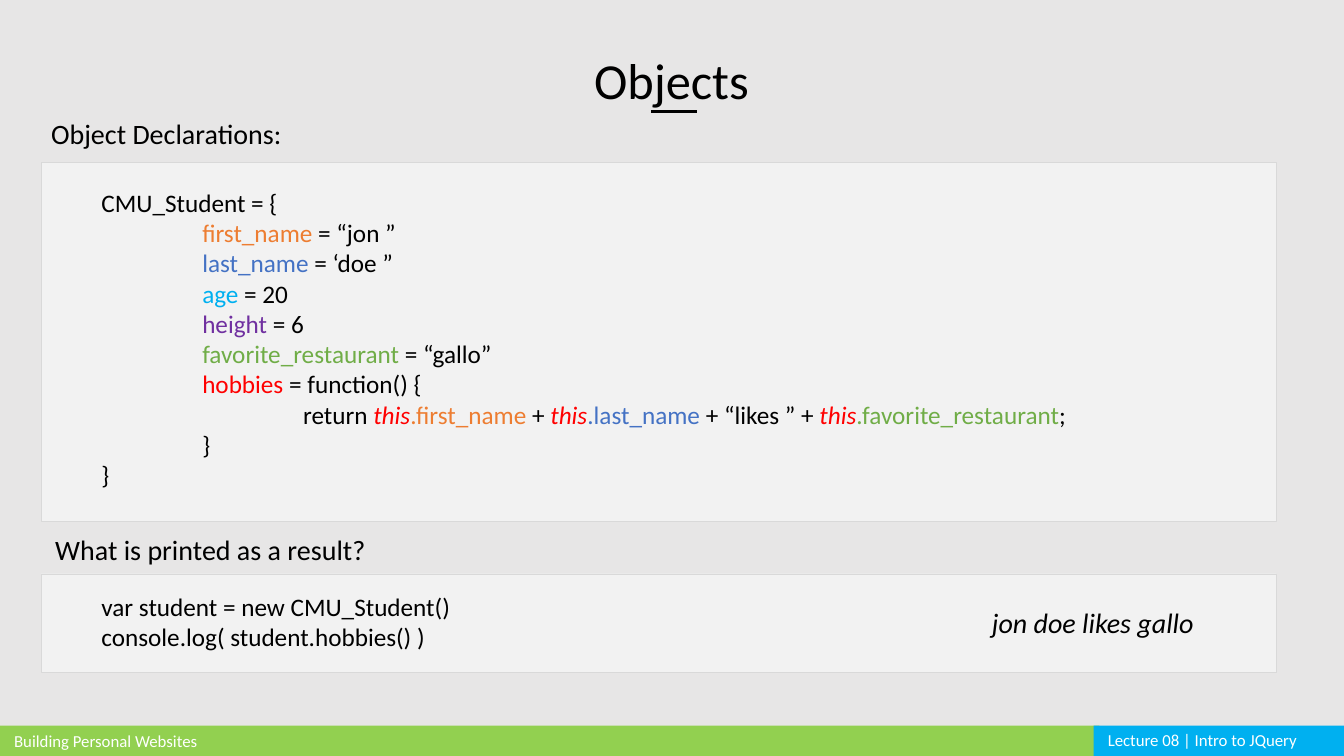
from dataclasses import dataclass

from lxml import etree
from pptx import Presentation
from pptx.dml.color import RGBColor
from pptx.enum.shapes import MSO_CONNECTOR, MSO_SHAPE
from pptx.enum.text import MSO_AUTO_SIZE, PP_ALIGN
from pptx.oxml.ns import qn
from pptx.util import Inches, Pt

COLUMNS, ROWS = 160, 90


@dataclass(frozen=True)
class Theme:
    """Colours, font and type sizes of the deck."""
    font: str = "Calibri"
    background: str = "E7E6E6"
    panel: str = "F2F2F2"
    panel_edge: str = "D9D9D9"
    ink: str = "000000"
    white: str = "FFFFFF"
    lime: str = "92D050"
    sky: str = "00B0F0"
    orange: str = "ED7D31"
    blue: str = "4472C4"
    purple: str = "7030A0"
    green: str = "70AD47"
    red: str = "FF0000"
    title: int = 36
    heading: int = 20
    code: int = 18
    footer: int = 12


class SlideBuilder:
    """Holds the theme and the current slide; places elements on its grid."""

    def __init__(self, deck, theme):
        """Add a blank slide with the theme's background."""
        self.theme = theme
        self.cell_width = deck.slide_width / COLUMNS
        self.cell_height = deck.slide_height / ROWS
        self.slide = deck.slides.add_slide(deck.slide_layouts[6])
        self.paint(self.slide.background.fill, theme.background)

    def place(self, column, row, width, height):
        """Turn grid units into slide lengths."""
        return (round(column * self.cell_width), round(row * self.cell_height),
                round(width * self.cell_width), round(height * self.cell_height))

    def paint(self, fill, color):
        """Make a fill solid."""
        fill.solid()
        fill.fore_color.rgb = RGBColor.from_string(color)

    def box(self, area, color, edge=None):
        """Draw a rectangle, with a hairline edge if one is given."""
        shape = self.slide.shapes.add_shape(MSO_SHAPE.RECTANGLE, *self.place(*area))
        shape.shadow.inherit = False
        self.paint(shape.fill, color)
        if edge:
            self.paint(shape.line.fill, edge)
            shape.line.width = Pt(0.25)
        else:
            shape.line.fill.background()

    def rule(self, column, row, width):
        """Draw a horizontal line."""
        x, y, length, _ = self.place(column, row, width, 0)
        line = self.slide.shapes.add_connector(
            MSO_CONNECTOR.STRAIGHT, x, y, x + length, y)
        self.paint(line.line.fill, self.theme.ink)
        line.line.width = Pt(2.25)
        etree.SubElement(line._element.spPr, qn("a:effectLst"))

    def text(self, area, lines, size, color=None, italic=False,
             align=PP_ALIGN.LEFT, spacing=None):
        """Write lines, each an indent level followed by (text, colour) runs."""
        frame = self.slide.shapes.add_textbox(*self.place(*area)).text_frame
        frame.word_wrap = True
        frame.auto_size = MSO_AUTO_SIZE.SHAPE_TO_FIT_TEXT
        for number, (level, *runs) in enumerate(lines):
            paragraph = frame.add_paragraph() if number else frame.paragraphs[0]
            paragraph.alignment = align
            paragraph.line_spacing = spacing
            properties = paragraph._p.get_or_add_pPr()
            properties.set("marL", str(Inches(level)))
            properties.set("indent", "0")
            for words, run_color in runs:
                run = paragraph.add_run()
                run.text = words
                font = run.font
                font.name, font.size = self.theme.font, Pt(size)
                font.italic = italic or words == "this"
                font.color.rgb = RGBColor.from_string(
                    run_color or color or self.theme.ink)

    def label(self, area, words, size, **style):
        """Write one line in one colour."""
        self.text(area, [(0, (words, None))], size, **style)


def object_code(theme):
    """Return the object declaration with each property in its colour."""
    fields = [("first_name", theme.orange, " = “jon ”"),
              ("last_name", theme.blue, " = ‘doe ”"),
              ("age", theme.sky, " = 20"),
              ("height", theme.purple, " = 6"),
              ("favorite_restaurant", theme.green, " = “gallo”"),
              ("hobbies", theme.red, " = function() {")]
    this = ("this", theme.red)
    return [
        (0, ("CMU_Student = {", None)),
        *((1, (name, color), (value, None)) for name, color, value in fields),
        (2, ("return ", None),
         this, (".first_name ", theme.orange), ("+ ", None),
         this, (".last_name ", theme.blue), ("+ “likes ” + ", None),
         this, (".favorite_restaurant", theme.green), (";", None)),
        (1, ("}", None)),
        (0, ("}", None)),
    ]


def main():
    """Build the slide and save it."""
    deck = Presentation()
    deck.slide_width, deck.slide_height = Inches(13.333), Inches(7.5)
    theme = Theme()
    page = SlideBuilder(deck, theme)

    for row, height in ((68.3, 11.75), (19.35, 42.7)):
        page.box((4.9, row, 147, height), theme.panel, theme.panel_edge)

    footers = [(0, 130.9, theme.lime, 86.4, "Building Personal Websites"),
               (130.2, 29.8, theme.sky, 86.3, "Lecture 08 | Intro to JQuery")]
    for column, width, color, text_row, words in footers:
        page.box((column, 86.4, width, 3.6), color)
        page.label((column + 0.5, text_row, 35.2, 3.6), words, theme.footer,
                   color=theme.white)

    page.label((50.2, 1.7, 59.5, 11), "Objects", theme.title,
               align=PP_ALIGN.CENTER, spacing=1.5)
    page.rule(77.5, 13.3, 5.5)

    page.label((4.9, 13.3, 127.4, 5.3), "Object Declarations:", theme.heading)
    page.text((10.9, 21.7, 122, 37.6), object_code(theme), theme.code)

    page.label((5.4, 62.8, 127.4, 5.3), "What is printed as a result?", theme.heading)
    calls = ["var student = new CMU_Student()", "console.log( student.hobbies() )"]
    page.text((10.9, 69.8, 88.8, 8.5), [(0, (call, None)) for call in calls],
              theme.code)
    page.label((116.9, 71.5, 31.1, 5.3), "jon doe likes gallo", theme.heading,
               italic=True)

    deck.save("out.pptx")


main()
